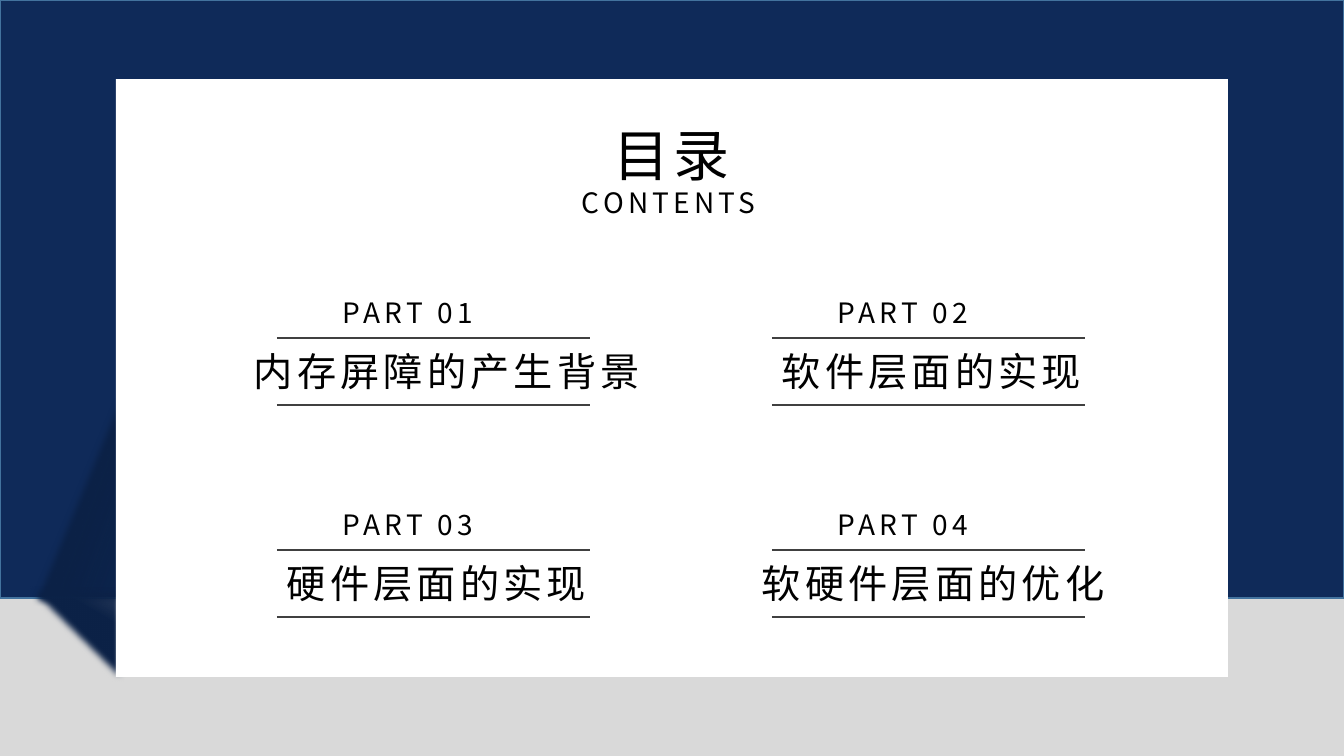
from lxml import etree
from pptx import Presentation
from pptx.dml.color import RGBColor
from pptx.enum import shapes, text
from pptx.oxml.ns import qn
from pptx.util import Pt

PX = 914400 / 100.8
FONT = "Noto Sans CJK SC"
COLORS = {"ground": "D9D9D9", "navy": "0F2A59", "edge": "43739E", "fold": "0C2247",
          "card": "FFFFFF", "ink": "000000", "rule": "404040"}
# Label, title, shift of the title from the left end of the rules
PARTS = [("PART 01", "内存屏障的产生背景", -33), ("PART 02", "软件层面的实现", 0),
         ("PART 03", "硬件层面的实现", 0), ("PART 04", "软硬件层面的优化", -20)]


def px(*vals):
    return [round(v * PX) for v in vals]


def rgb(name):
    return RGBColor.from_string(COLORS[name])


def add_box(pen, kind, box, fill=None, line=None):
    shape = pen.add_shape(kind, *px(*box))
    shape.shadow.inherit = False
    if fill:
        shape.fill.solid()
        shape.fill.fore_color.rgb = rgb(fill)
    if line:
        shape.line.color.rgb = rgb(line)
        shape.line.width = Pt(1)
    else:
        shape.line.fill.background()
    return shape


def add_fold(pen, box, turn, angle, stops):
    """Right triangle with a faded fill and soft edges."""
    fold = add_box(pen, shapes.MSO_SHAPE.RIGHT_TRIANGLE, box)
    fold.rotation = turn
    fold.fill.gradient()
    fold.fill.gradient_angle = 360 - angle
    for stop, (place, alpha) in zip(fold.fill.gradient_stops, stops):
        stop.position = place / 100
        stop.color.rgb = rgb("fold")
    for tone, (place, alpha) in zip(fold._element.spPr.iter(qn("a:srgbClr")), stops):
        etree.SubElement(tone, qn("a:alpha")).set("val", str(alpha * 1000))
    effects = fold._element.spPr.find(qn("a:effectLst"))
    etree.SubElement(effects, qn("a:softEdge")).set("rad", "63500")


def add_text(pen, words, box, size, wrap=False):
    frame = pen.add_textbox(*px(*box)).text_frame
    frame.word_wrap = wrap
    frame.auto_size = text.MSO_AUTO_SIZE.SHAPE_TO_FIT_TEXT
    para = frame.paragraphs[0]
    para.text = words
    para.alignment = text.PP_ALIGN.JUSTIFY if wrap else text.PP_ALIGN.LEFT
    font = para.font
    font.size = Pt(size)
    font.name = FONT
    font.color.rgb = rgb("ink")
    # Letter spacing and the East Asian face
    props = para._p.pPr.find(qn("a:defRPr"))
    props.set("spc", "300")
    face = etree.Element(qn("a:ea"))
    face.set("typeface", FONT)
    props.find(qn("a:latin")).addnext(face)


def add_rule(pen, x, y, width):
    rule = pen.add_connector(shapes.MSO_CONNECTOR.STRAIGHT, *px(x, y, x + width, y))
    rule.line.color.rgb = rgb("rule")
    rule.line.width = Pt(1)
    etree.SubElement(rule._element.spPr, qn("a:effectLst"))


def draw_back(pen, width):
    rect = shapes.MSO_SHAPE.RECTANGLE
    add_box(pen, rect, (0, 0, width, 598), "navy", "edge")
    add_fold(pen, (-46, 434, 244, 101), 270, 290, [(7, 70), (39, 100)])
    add_fold(pen, (15, 587, 111, 109), 180, 300, [(0, 80), (25, 100)])
    add_box(pen, rect, (116, 79, 1112, 598), "card")


def draw_head(pen, x, y):
    group = pen.add_group_shape().shapes
    add_text(group, "CONTENTS", (x, y + 65, 201, 44), 20, wrap=True)
    add_text(group, "目录", (x + 32, y, 142, 78), 40)


def draw_part(pen, x, y, label, title, shift):
    group = pen.add_group_shape().shapes
    add_text(group, title, (x + shift, y + 51, 20 + 43.5 * len(title), 57), 28)
    for drop in (47, 114):
        add_rule(group, x, y + drop, 313)
    add_text(group, label, (x + 56, y, 201, 44), 20, wrap=True)


def main():
    deck = Presentation()
    deck.slide_width, deck.slide_height = px(1344, 756)
    slide = deck.slides.add_slide(deck.slide_layouts[6])
    slide.background.fill.solid()
    slide.background.fill.fore_color.rgb = rgb("ground")
    pen = slide.shapes
    draw_back(pen, 1344)
    draw_head(pen, 572, 116)
    # Two columns and two rows of parts
    for i, part in enumerate(PARTS):
        row, col = divmod(i, 2)
        draw_part(pen, 277 + 495 * col, 291 + 212 * row, *part)
    deck.save("out.pptx")


if __name__ == "__main__":
    main()
